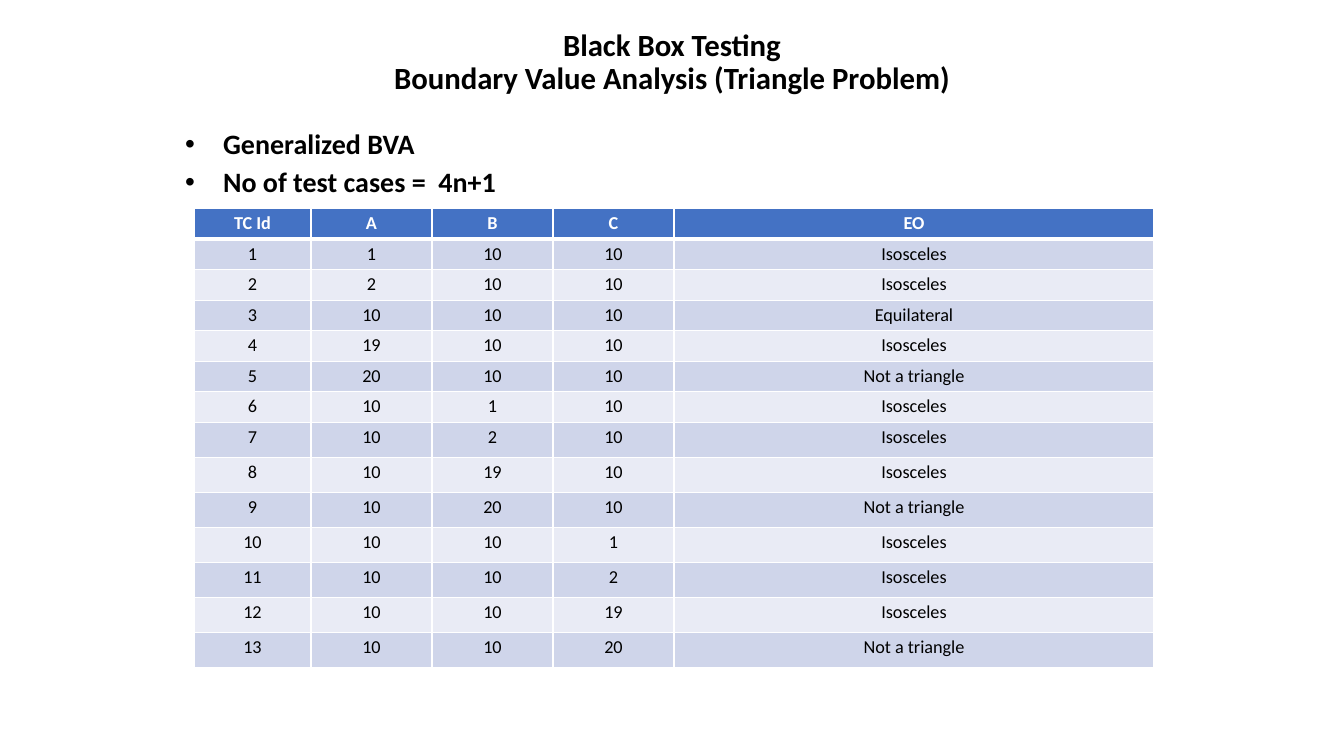
import copy

import lxml.etree
import pptx
import pptx.dml.color
import pptx.enum.text
import pptx.oxml.ns
import pptx.util

PX = 12192000 / 1344
BLACK = pptx.dml.color.RGBColor(0x00, 0x00, 0x00)
WHITE = pptx.dml.color.RGBColor(0xFF, 0xFF, 0xFF)
HEADER_BLUE = pptx.dml.color.RGBColor(0x44, 0x72, 0xC4)
BAND_DARK = pptx.dml.color.RGBColor(0xCF, 0xD5, 0xEA)
BAND_LIGHT = pptx.dml.color.RGBColor(0xE9, 0xEB, 0xF5)
CENTER = pptx.enum.text.PP_ALIGN.CENTER
LEFT = pptx.enum.text.PP_ALIGN.LEFT
qn = pptx.oxml.ns.qn


def px(count):
    return pptx.util.Emu(round(count * PX))


def write(para, text, size=13, bold=False, color=BLACK, align=CENTER,
          spacing=1.0, after=0, bullet=None):
    """Fill a paragraph; each newline in the text becomes a line break."""
    if bullet:
        props = para._p.get_or_add_pPr()
        props.set("marL", str(px(38)))
        props.set("indent", str(-px(38)))
        lxml.etree.SubElement(props, qn("a:buFont")).set("typeface", "Arial")
        lxml.etree.SubElement(props, qn("a:buChar")).set("char", bullet)
    para.alignment = align
    para.line_spacing = spacing
    para.space_before = pptx.util.Pt(0)
    para.space_after = pptx.util.Pt(after)
    for index, line in enumerate(text.split("\n")):
        if index:
            para.add_line_break()
        span = para.add_run()
        span.text = line
        span.font.name = "Calibri"
        span.font.size = pptx.util.Pt(size)
        span.font.bold = bold
        span.font.color.rgb = color
    for line_break in para._p.findall(qn("a:br")):
        line_break.append(copy.deepcopy(span._r.rPr))


deck = pptx.Presentation()
deck.slide_width, deck.slide_height = px(1344), px(756)
page = deck.slides.add_slide(deck.slide_layouts[1])

# Title and list
title, body = page.placeholders
for box, left, top, width, height in ((title, 111, 19, 1122, 123),
                                      (body, 175, 122, 1047, 85)):
    box.left, box.top, box.width, box.height = map(px, (left, top, width, height))
    box.text_frame.word_wrap = True
    box.text_frame.auto_size = pptx.enum.text.MSO_AUTO_SIZE.NONE

title.text_frame.vertical_anchor = pptx.enum.text.MSO_ANCHOR.TOP
title.text_frame.margin_top = px(11)
write(title.text_frame.paragraphs[0],
      "Black Box Testing\nBoundary Value Analysis (Triangle Problem)",
      size=22, bold=True, spacing=0.9)

body.text_frame.vertical_anchor = pptx.enum.text.MSO_ANCHOR.MIDDLE
body.text_frame.add_paragraph()
for para, text in zip(body.text_frame.paragraphs,
                      ("Generalized BVA", "No of test cases =  4n+1")):
    write(para, text, size=20, bold=True, align=LEFT, spacing=0.9, after=6,
          bullet="•")

# Test case table
HEADINGS = ("TC Id", "A", "B", "C", "EO")
TEST_CASES = (
    (1, 10, 10, "Isosceles"),
    (2, 10, 10, "Isosceles"),
    (10, 10, 10, "Equilateral"),
    (19, 10, 10, "Isosceles"),
    (20, 10, 10, "Not a triangle"),
    (10, 1, 10, "Isosceles"),
    (10, 2, 10, "Isosceles"),
    (10, 19, 10, "Isosceles"),
    (10, 20, 10, "Not a triangle"),
    (10, 10, 1, "Isosceles"),
    (10, 10, 2, "Isosceles"),
    (10, 10, 19, "Isosceles"),
    (10, 10, 20, "Not a triangle"),
)
COLUMN_WIDTHS = (117, 121, 121, 121, 480)
ROW_HEIGHTS = (31, 30, 31, 30, 31, 30, 31) + (35,) * 7

rows = [HEADINGS] + [(number, *case) for number, case in enumerate(TEST_CASES, 1)]
table = page.shapes.add_table(len(rows), len(HEADINGS), px(194), px(208),
                              px(sum(COLUMN_WIDTHS)), px(sum(ROW_HEIGHTS))).table
table.horz_banding = False
for column, width in zip(table.columns, COLUMN_WIDTHS):
    column.width = px(width)

for row_index, (row, height, values) in enumerate(zip(table.rows, ROW_HEIGHTS, rows)):
    row.height = px(height)
    header = row_index == 0
    band = BAND_DARK if row_index % 2 else BAND_LIGHT
    # The edge between the header and the first test case is thicker
    weights = {"lnL": 1, "lnR": 1, "lnT": 3 if row_index == 1 else 1,
               "lnB": 3 if header else 1}
    for cell, value in zip(row.cells, values):
        cell.margin_left = cell.margin_right = px(7)
        cell.margin_top = cell.margin_bottom = px(4)
        for side, weight in weights.items():
            edge = lxml.etree.SubElement(cell._tc.get_or_add_tcPr(), qn("a:" + side),
                                         w=str(pptx.util.Pt(weight)))
            paint = lxml.etree.SubElement(edge, qn("a:solidFill"))
            lxml.etree.SubElement(paint, qn("a:srgbClr"), val=str(WHITE))
        cell.fill.solid()
        cell.fill.fore_color.rgb = HEADER_BLUE if header else band
        write(cell.text_frame.paragraphs[0], str(value), bold=header,
              color=WHITE if header else BLACK)

deck.save("out.pptx")
